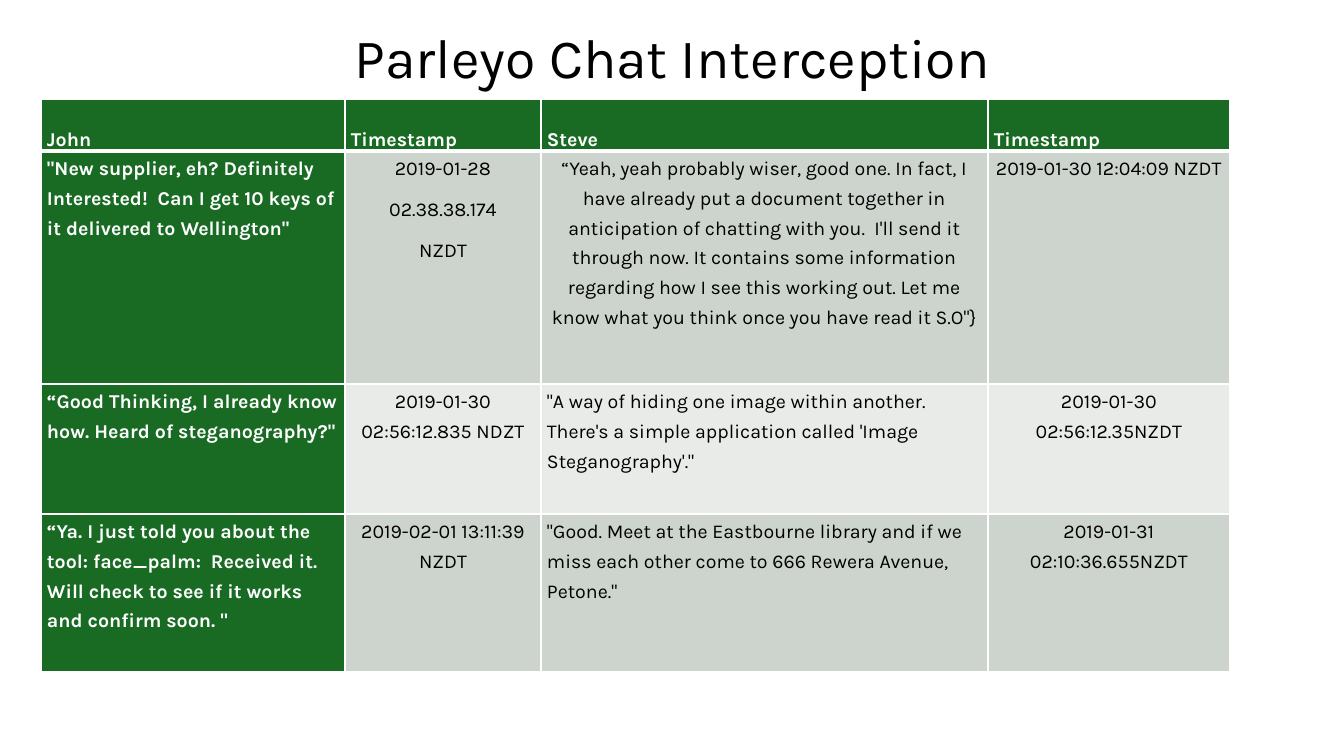
from lxml import etree
from pptx import Presentation
from pptx.dml.color import RGBColor
from pptx.enum.text import MSO_ANCHOR, MSO_AUTO_SIZE, PP_ALIGN
from pptx.oxml.ns import qn
from pptx.util import Pt

LEFT, CENTER = PP_ALIGN.LEFT, PP_ALIGN.CENTER
TOP, MIDDLE, BOTTOM = MSO_ANCHOR.TOP, MSO_ANCHOR.MIDDLE, MSO_ANCHOR.BOTTOM
NO_AUTOFIT = MSO_AUTO_SIZE.NONE

EMU_PER_PX = 914400 / 100.8
FONT = "Karla"
BLACK = RGBColor(0x00, 0x00, 0x00)
WHITE = RGBColor(0xFF, 0xFF, 0xFF)
GREEN = RGBColor(0x19, 0x6B, 0x24)
DARK_BAND = RGBColor(0xCC, 0xD4, 0xCD)
LIGHT_BAND = RGBColor(0xE8, 0xEB, 0xE8)

COLUMN_WIDTHS = [304, 196, 447, 242]
ROW_HEIGHTS = [52, 233, 130, 158]
CHAT_ROWS = [
    ["John", "Timestamp", "Steve", "Timestamp"],
    [
        "\"New supplier, eh? Definitely Interested!  Can I get 10 keys of it delivered to Wellington\"",
        "2019-01-28\n02.38.38.174\nNZDT",
        "“Yeah, yeah probably wiser, good one. In fact, I have already put a document together in "
        "anticipation of chatting with you.  I'll send it through now. It contains some information "
        "regarding how I see this working out. Let me know what you think once you have read it S.O\"}",
        "2019-01-30 12:04:09 NZDT",
    ],
    [
        "“Good Thinking, I already know how. Heard of steganography?\"",
        "2019-01-30 02:56:12.835 NDZT",
        "\"A way of hiding one image within another. There's a simple application called "
        "'Image Steganography'.\"",
        "2019-01-30 02:56:12.35NZDT",
    ],
    [
        "“Ya. I just told you about the tool: face_palm:  Received it. Will check to see if it "
        "works and confirm soon. \"",
        "2019-02-01 13:11:39 NZDT",
        "\"Good. Meet at the Eastbourne library and if we miss each other come to 666 Rewera "
        "Avenue, Petone.\"",
        "2019-01-31 02:10:36.655NZDT",
    ],
]
CENTERED_CELLS = {(row, column) for row in (1, 2, 3) for column in (1, 3)} | {(1, 2)}


def px(length):
    return round(length * EMU_PER_PX)


def format_paragraph(paragraph, size, color, bold, alignment, line_spacing):
    paragraph.alignment = alignment
    paragraph.line_spacing = line_spacing
    for run in paragraph.runs:
        run.font.name = FONT
        run.font.size = Pt(size)
        run.font.bold = bold
        run.font.color.rgb = color


def set_title(slide, text):
    title = slide.shapes.title
    title.left, title.top, title.width, title.height = px(93), px(27), px(1159), px(67)
    text_frame = title.text_frame
    text_frame.text = text
    text_frame.auto_size = NO_AUTOFIT
    text_frame.vertical_anchor = MIDDLE
    format_paragraph(text_frame.paragraphs[0], 39.6, BLACK, False, CENTER, 0.9)


def set_borders(cell, top_points, bottom_points):
    properties = cell._tc.get_or_add_tcPr()
    widths = {"a:lnL": 1, "a:lnR": 1, "a:lnT": top_points, "a:lnB": bottom_points}
    for tag, points in widths.items():
        line = etree.SubElement(properties, qn(tag), w=str(Pt(points)))
        fill = etree.SubElement(line, qn("a:solidFill"))
        etree.SubElement(fill, qn("a:srgbClr"), val=str(WHITE))


def fill_cell(cell, text, row, column):
    is_heading = row == 0 or column == 0
    set_borders(cell, 3 if row == 1 else 1, 3 if row == 0 else 1)
    cell.fill.solid()
    cell.fill.fore_color.rgb = GREEN if is_heading else DARK_BAND if row % 2 else LIGHT_BAND
    cell.margin_left = cell.margin_right = px(6)
    cell.margin_top = cell.margin_bottom = 0
    cell.vertical_anchor = BOTTOM if row == 0 else TOP
    cell.text_frame.text = text
    alignment = CENTER if (row, column) in CENTERED_CELLS else LEFT
    for paragraph in cell.text_frame.paragraphs:
        format_paragraph(paragraph, 14, WHITE if is_heading else BLACK, is_heading, alignment, 1.3)
        paragraph.space_after = Pt(8)


def add_chat_table(slide):
    frame = slide.shapes.add_table(
        len(ROW_HEIGHTS), len(COLUMN_WIDTHS),
        px(41), px(99), px(sum(COLUMN_WIDTHS)), px(sum(ROW_HEIGHTS)),
    )
    table = frame.table
    table.first_col = True
    for column, width in zip(table.columns, COLUMN_WIDTHS):
        column.width = px(width)
    for row, height in zip(table.rows, ROW_HEIGHTS):
        row.height = px(height)
    for row, texts in enumerate(CHAT_ROWS):
        for column, text in enumerate(texts):
            fill_cell(table.cell(row, column), text, row, column)


def main():
    presentation = Presentation()
    presentation.slide_width = px(1344)
    presentation.slide_height = px(756)
    slide = presentation.slides.add_slide(presentation.slide_layouts[5])
    set_title(slide, "Parleyo Chat Interception")
    add_chat_table(slide)
    presentation.save("out.pptx")


if __name__ == "__main__":
    main()
